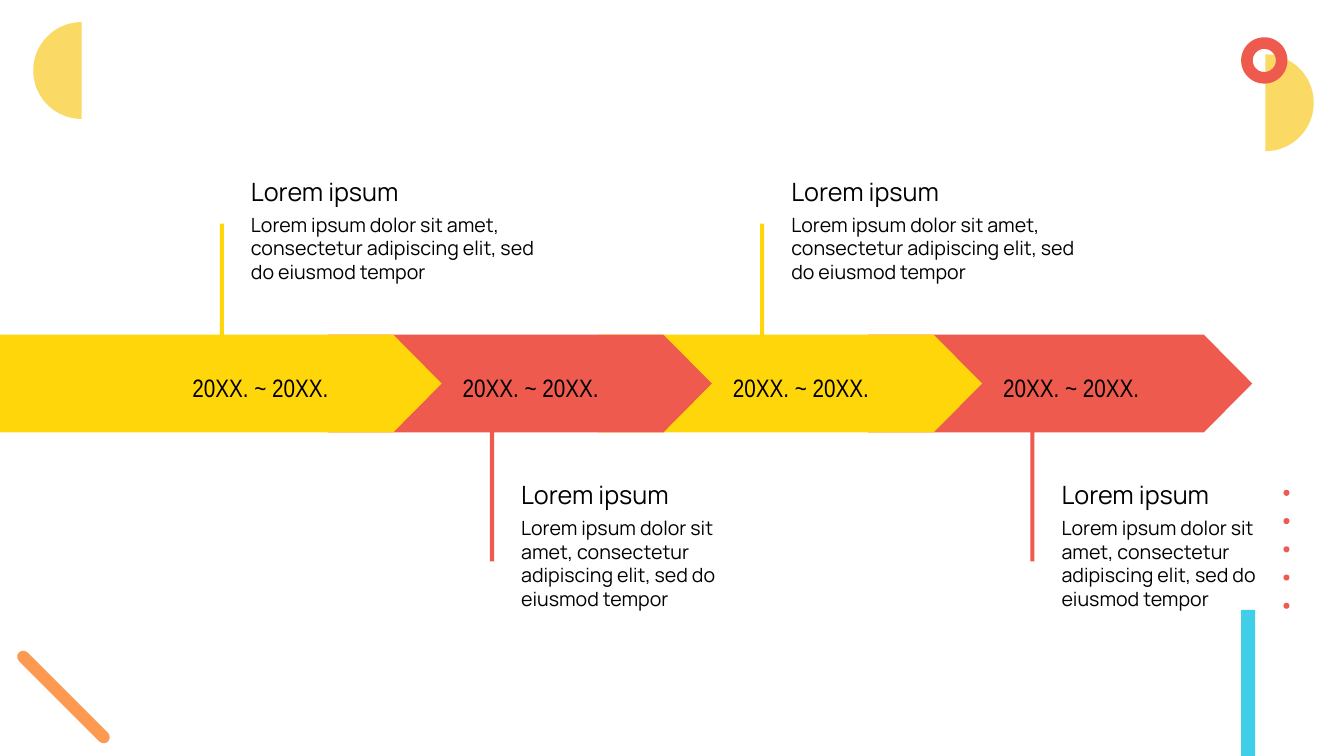
"""Build a four-period arrow timeline slide with geometric decorations."""
from math import cos, pi, sin

from pptx import Presentation
from pptx.dml.color import RGBColor
from pptx.enum.shapes import MSO_SHAPE
from pptx.enum.text import MSO_AUTO_SIZE
from pptx.util import Inches, Pt

YELLOW, RED, PALE_YELLOW = "FFD60A", "EE5A4E", "FBD965"
ORANGE, BLUE, BLACK = "FB9A50", "40CEE9", "000000"

prs = Presentation()
prs.slide_width, prs.slide_height = Inches(13.33), Inches(7.5)
slide = prs.slides.add_slide(prs.slide_layouts[6])


def paint(shape, color):
    """Give a shape a flat fill without line or shadow."""
    shape.fill.solid()
    shape.fill.fore_color.rgb = RGBColor.from_string(color)
    shape.line.fill.background()
    shape.shadow.inherit = False
    return shape


def write(text, left, top, width, height, font_name, size):
    """Add one wrapped text box."""
    box = slide.shapes.add_textbox(*map(Inches, (left, top, width, height)))
    frame = box.text_frame
    frame.word_wrap = True
    frame.auto_size = MSO_AUTO_SIZE.SHAPE_TO_FIT_TEXT
    frame.text = text
    font = frame.paragraphs[0].runs[0].font
    font.name, font.size = font_name, Pt(size)
    font.color.rgb = RGBColor.from_string(BLACK)


half_radius = 0.48
outlines = []
for center_x, center_y, side in [(12.55, 1.02, 1), (0.81, 0.7, -1)]:
    angles = [pi * step / 60 - pi / 2 for step in range(61)]
    half_circle = [(center_x + side * half_radius * cos(angle),
                    center_y + half_radius * sin(angle)) for angle in angles]
    outlines.append((half_circle, PALE_YELLOW))

pitch = 2.68
band_top, band_bottom, point_depth = 3.32, 4.29, 0.48
band_middle = (band_top + band_bottom) / 2
stem_half = 0.02
for period in reversed(range(4)):
    tip = 4.38 + period * pitch
    tail = tip - 3.81 if period else 0
    stem = 2.2 + period * pitch
    shoulder = tip - point_depth
    if period % 2:
        arrow = [(tail, band_top), (shoulder, band_top), (tip, band_middle),
                 (shoulder, band_bottom), (stem + stem_half, band_bottom),
                 (stem + stem_half, 5.57), (stem - stem_half, 5.57),
                 (stem - stem_half, band_bottom), (tail, band_bottom)]
    else:
        arrow = [(tail, band_top), (stem - stem_half, band_top),
                 (stem - stem_half, 2.22), (stem + stem_half, 2.22),
                 (stem + stem_half, band_top), (shoulder, band_top),
                 (tip, band_middle), (shoulder, band_bottom), (tail, band_bottom)]
    outlines.append((arrow, RED if period % 2 else YELLOW))

for points, color in outlines:
    corners = [(Inches(x), Inches(y)) for x, y in points]
    builder = slide.shapes.build_freeform(*corners[0])
    builder.add_line_segments(corners[1:], close=True)
    paint(builder.convert_to_shape(), color)

decorations = [
    (MSO_SHAPE.ROUNDED_RECTANGLE, 0.57, 6.29, 0.12, 1.25, ORANGE),
    (MSO_SHAPE.RECTANGLE, 12.31, 6.05, 0.14, 1.45, BLUE),
    (MSO_SHAPE.DONUT, 12.31, 0.37, 0.46, 0.46, RED),
]
decorations += [(MSO_SHAPE.OVAL, 12.73, 4.86 + dot * 0.28, 0.06, 0.06, RED)
                for dot in range(5)]
for kind, left, top, width, height, color in decorations:
    decoration = paint(slide.shapes.add_shape(
        kind, *map(Inches, (left, top, width, height))), color)
    if kind == MSO_SHAPE.ROUNDED_RECTANGLE:
        decoration.adjustments[0] = 0.5
        decoration.rotation = 315

periods = [
    ("20XX. ~ 20XX.", "Lorem ipsum",
     "Lorem ipsum dolor sit amet, consectetur adipiscing elit, sed do eiusmod tempor"),
] * 4
for period, (dates, heading, body) in enumerate(periods):
    shift = period * pitch
    heading_top, width, body_height = (4.71, 2.62, 1.04) if period % 2 else (1.7, 3.18, 0.81)
    write(dates, 1.81 + shift, 3.64, 2.09, 0.4, "Arial Narrow", 18)
    write(heading, 2.39 + shift, heading_top, width, 0.4, "Manrope", 18)
    write(body, 2.39 + shift, heading_top + 0.36, width, body_height, "Manrope", 14)

prs.save("out.pptx")
